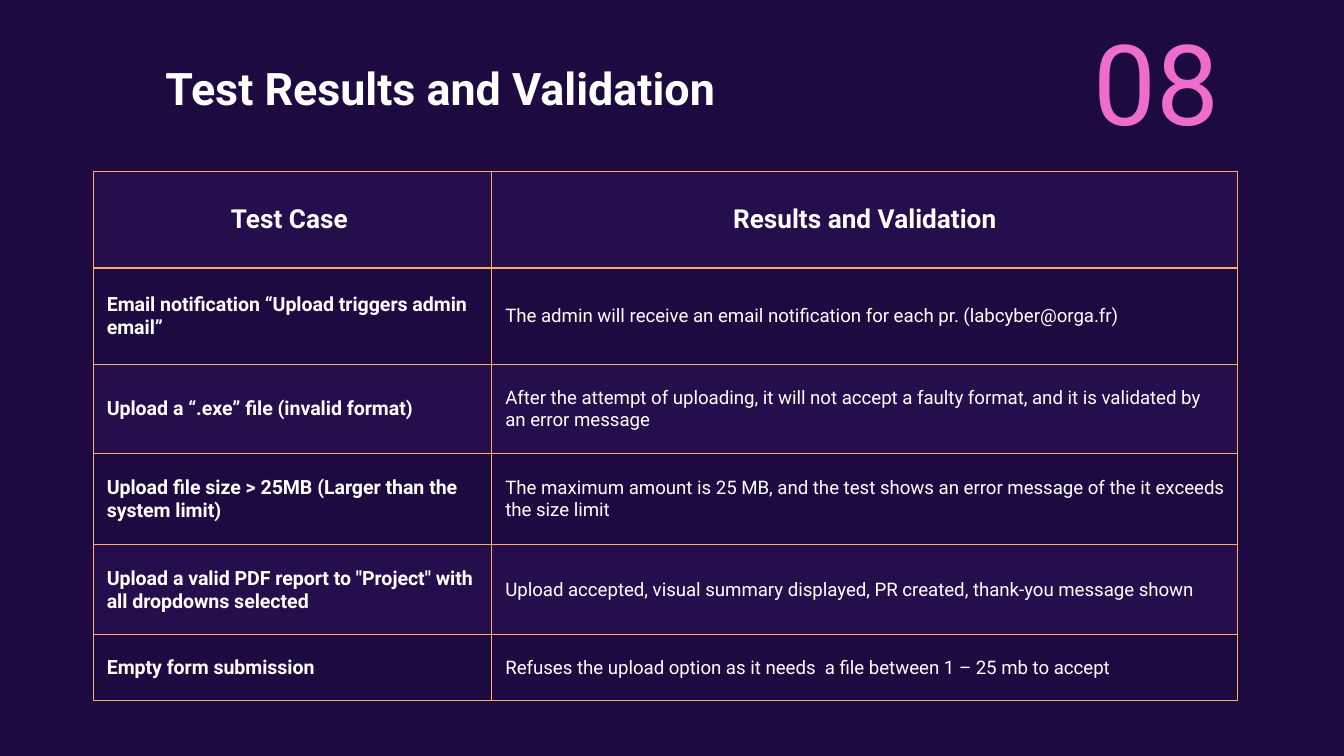
from lxml.etree import SubElement
from pptx import Presentation
from pptx.dml.color import RGBColor
from pptx.enum.text import MSO_ANCHOR as Anchor, PP_ALIGN as Align
from pptx.oxml.ns import qn
from pptx.util import Pt

EMU_PER_PX = 4572
FONT = "Roboto"
BACKGROUND = "1D0A40"
WHITE = "FFFFFF"
PINK = "ED6CCD"
BAND = "5E309D"
BAND_ALPHA = 13
BORDER = "FFAB67"
INSET = 20

COLUMN_WIDTHS = [593, 1110]
ROW_HEIGHTS = [144, 144, 132, 136, 134, 98]
ROWS = [
    ("Test Case ", "Results and Validation"),
    ("Email notification “Upload triggers admin email”",
     "The admin will receive an email notification for each pr. (labcyber@orga.fr)"),
    ("Upload a “.exe” file (invalid format)",
     "After the attempt of uploading, it will not accept a faulty format, "
     "and it is validated by an error message"),
    ("Upload file size > 25MB (Larger than the system limit)",
     "The maximum amount is 25 MB, and the test shows an error message "
     "of the it exceeds the size limit"),
    ('Upload a valid PDF report to "Project" with all dropdowns selected',
     "Upload accepted, visual summary displayed, PR created, thank-you message shown"),
    ("Empty form submission",
     "Refuses the upload option as it needs  a file between 1 – 25 mb to accept"),
]


def px(length):
    return length * EMU_PER_PX


def color(value):
    return RGBColor.from_string(value)


def write_text(frame, text, size, fill=WHITE, bold=False, align=Align.LEFT):
    paragraph = frame.paragraphs[0]
    paragraph.alignment = align
    run = paragraph.add_run()
    run.text = text
    run.font.name = FONT
    run.font.size = Pt(size)
    run.font.bold = bold
    run.font.color.rgb = color(fill)


def set_layout(target, anchor=Anchor.MIDDLE):
    target.vertical_anchor = anchor
    target.margin_left = target.margin_right = px(INSET)
    target.margin_top = target.margin_bottom = px(INSET)


def add_title(slide, text):
    title = slide.shapes.title
    title.left, title.top, title.width, title.height = map(px, (226, 70, 1686, 126))
    title.text_frame.word_wrap = True
    set_layout(title.text_frame, Anchor.TOP)
    write_text(title.text_frame, text, 24, bold=True)


def add_section_number(slide, text):
    box = slide.shapes.add_textbox(*map(px, (1531, 28, 380, 184)))
    box.text_frame.word_wrap = True
    set_layout(box.text_frame)
    write_text(box.text_frame, text, 60, fill=PINK, align=Align.CENTER)


def set_borders(cell):
    properties = cell._tc.get_or_add_tcPr()
    for side in ("a:lnL", "a:lnR", "a:lnT", "a:lnB"):
        line = SubElement(properties, qn(side), w=str(Pt(0.75)))
        solid = SubElement(line, qn("a:solidFill"))
        SubElement(solid, qn("a:srgbClr"), val=BORDER)


def fill_cell(cell, banded):
    if not banded:
        cell.fill.background()
        return
    cell.fill.solid()
    cell.fill.fore_color.rgb = color(BAND)
    tint = cell._tc.tcPr.find(qn("a:solidFill")).find(qn("a:srgbClr"))
    SubElement(tint, qn("a:alpha"), val=str(BAND_ALPHA * 1000))


def add_results_table(slide):
    table = slide.shapes.add_table(
        len(ROWS), len(COLUMN_WIDTHS), px(139), px(255),
        px(sum(COLUMN_WIDTHS)), px(sum(ROW_HEIGHTS))).table
    table.first_row = table.horz_banding = False
    for column, width in zip(table.columns, COLUMN_WIDTHS):
        column.width = px(width)
    for row, height in zip(table.rows, ROW_HEIGHTS):
        row.height = px(height)
    for row_index, texts in enumerate(ROWS):
        header = row_index == 0
        for column_index, text in enumerate(texts):
            cell = table.cell(row_index, column_index)
            set_layout(cell)
            set_borders(cell)
            fill_cell(cell, banded=row_index % 2 == 0)
            test_case = column_index == 0
            size = 14 if header else 10.5 if test_case else 10
            write_text(cell.text_frame, text, size, bold=header or test_case,
                       align=Align.CENTER if header else Align.LEFT)


def main():
    presentation = Presentation()
    presentation.slide_width = px(2000)
    presentation.slide_height = px(1125)
    slide = presentation.slides.add_slide(presentation.slide_layouts[5])
    slide.background.fill.solid()
    slide.background.fill.fore_color.rgb = color(BACKGROUND)
    add_title(slide, "Test Results and Validation")
    add_results_table(slide)
    add_section_number(slide, "08")
    presentation.save("out.pptx")


if __name__ == "__main__":
    main()
